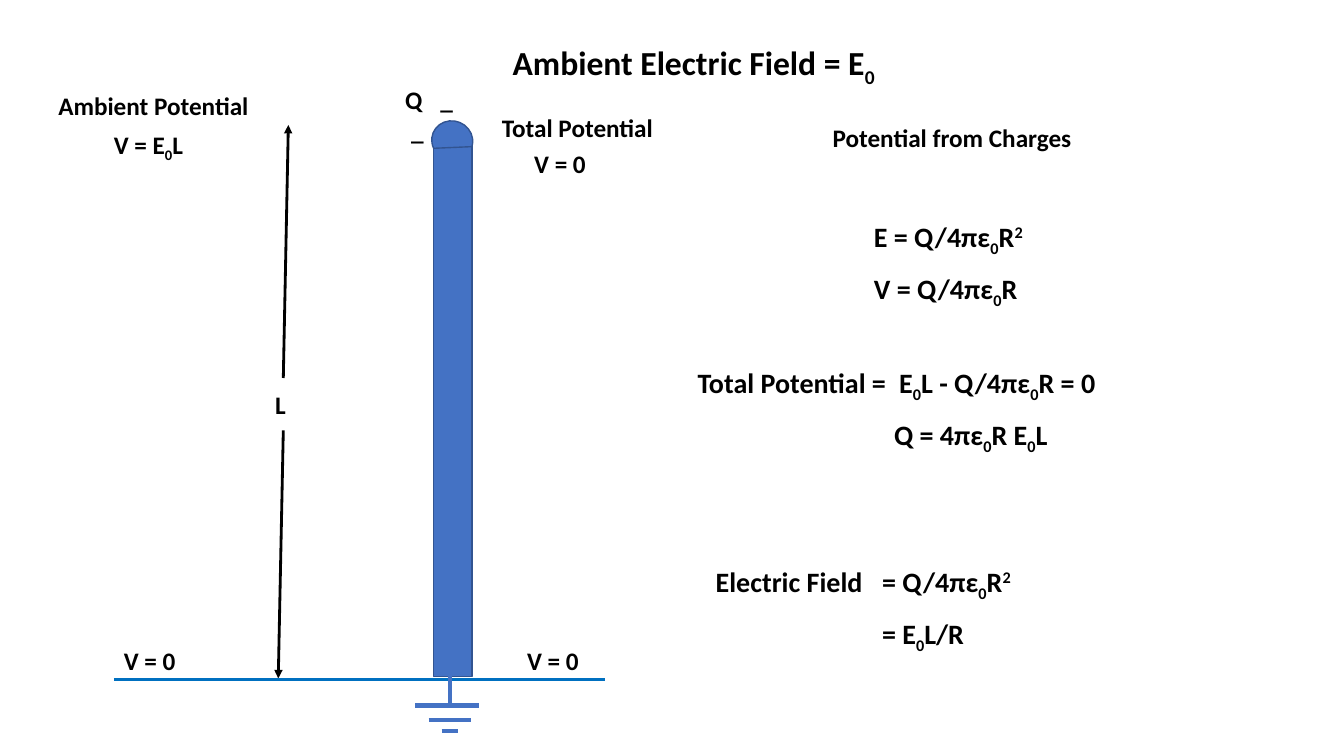
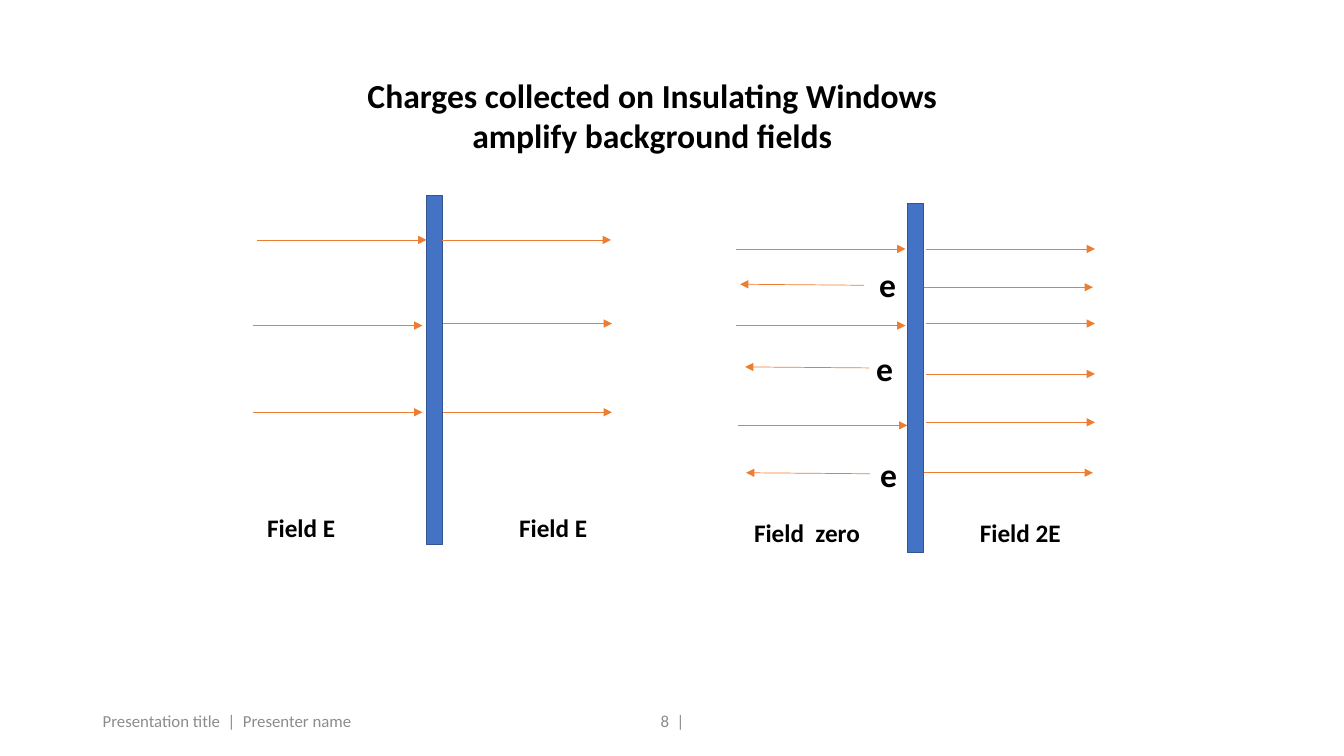
from dataclasses import dataclass
from itertools import groupby

import pptx
import pptx.dml.color
import pptx.enum.shapes
import pptx.enum.text
import pptx.util
from lxml import etree
from pptx.oxml.ns import qn

Inches = pptx.util.Inches
Shape = pptx.enum.shapes.MSO_SHAPE
Align = pptx.enum.text.PP_ALIGN
Anchor = pptx.enum.text.MSO_ANCHOR


@dataclass(frozen=True)
class Theme:
    font: str = "Calibri"
    ink: str = "000000"
    muted: str = "8C8C8C"
    blue: str = "4472C4"
    blue_edge: str = "325491"
    ground: str = "0070C0"
    orange: str = "ED7D31"
    title: int = 24
    equation: int = 20
    label: int = 18
    footer: int = 12


THEME = Theme()
SCRIPTS = {"₀": ("0", -25000), "²": ("2", 30000)}


@dataclass(frozen=True)
class Label:
    lines: tuple[str, ...]
    left: float
    top: float
    width: float
    height: float = 0.4
    size: int = THEME.label
    color: str = THEME.ink
    bold: bool = True
    align: Align = Align.LEFT
    anchor: Anchor = Anchor.TOP
    tabs: tuple[float, ...] = ()
    spacing: float = 1.0
    after: float = 0


@dataclass(frozen=True)
class Stroke:
    x1: float
    y1: float
    x2: float
    y2: float
    color: str
    width: float
    arrow: bool = False


def rgb(value: str) -> pptx.dml.color.RGBColor:
    return pptx.dml.color.RGBColor.from_string(value)


def write_line(paragraph, text: str, label: Label, tab: float | None) -> None:
    if tab is not None:
        tab_list = etree.SubElement(paragraph._p.get_or_add_pPr(), qn("a:tabLst"))
        etree.SubElement(tab_list, qn("a:tab"), pos=str(Inches(tab)), algn="l")
    paragraph.alignment = label.align
    paragraph.line_spacing = label.spacing
    paragraph.space_after = pptx.util.Pt(label.after)
    font = paragraph.font
    font.name = THEME.font
    font.size = pptx.util.Pt(label.size)
    font.bold = label.bold
    font.color.rgb = rgb(label.color)
    for script, letters in groupby(text, lambda letter: letter if letter in SCRIPTS else None):
        run = paragraph.add_run()
        if script is None:
            run.text = "".join(letters)
        else:
            run.text, baseline = SCRIPTS[script]
            run._r.get_or_add_rPr().set("baseline", str(baseline))


def fill_text(shape, label: Label) -> None:
    frame = shape.text_frame
    frame.word_wrap = True
    frame.auto_size = pptx.enum.text.MSO_AUTO_SIZE.NONE
    frame.vertical_anchor = label.anchor
    for index, text in enumerate(label.lines):
        paragraph = frame.add_paragraph() if index else frame.paragraphs[0]
        write_line(paragraph, text, label, label.tabs[index] if label.tabs else None)


def draw_label(slide, label: Label) -> None:
    box = slide.shapes.add_textbox(
        Inches(label.left), Inches(label.top), Inches(label.width), Inches(label.height)
    )
    fill_text(box, label)


def draw_title(slide, label: Label) -> None:
    title = slide.shapes.title
    title.left, title.top = Inches(label.left), Inches(label.top)
    title.width, title.height = Inches(label.width), Inches(label.height)
    fill_text(title, label)


def draw_solid(slide, kind: Shape, left: float, top: float, width: float, height: float):
    solid = slide.shapes.add_shape(
        kind, Inches(left), Inches(top), Inches(width), Inches(height)
    )
    solid.shadow.inherit = False
    solid.fill.solid()
    solid.fill.fore_color.rgb = rgb(THEME.blue)
    solid.line.color.rgb = rgb(THEME.blue_edge)
    solid.line.width = pptx.util.Pt(1)
    return solid


def draw_stroke(slide, stroke: Stroke) -> None:
    line = slide.shapes.add_connector(
        pptx.enum.shapes.MSO_CONNECTOR.STRAIGHT,
        Inches(stroke.x1), Inches(stroke.y1), Inches(stroke.x2), Inches(stroke.y2),
    )
    line.line.color.rgb = rgb(stroke.color)
    line.line.width = pptx.util.Pt(stroke.width)
    if stroke.arrow:
        etree.SubElement(line.line._get_or_add_ln(), qn("a:tailEnd"), type="triangle")
    etree.SubElement(line._element.spPr, qn("a:effectLst"))


def equations(lines: tuple[str, ...], left: float, top: float, width: float,
              tabs: tuple[float, ...] = ()) -> Label:
    return Label(lines, left, top, width, 1.05, THEME.equation,
                 tabs=tabs, spacing=1.07, after=8)


def build_rod_slide(slide) -> None:
    draw_title(slide, Label(("Ambient Electric Field = E₀",), 4.88, 0.37, 4, 0.51,
                            THEME.title, align=Align.CENTER))
    draw_solid(slide, Shape.RECTANGLE, 4.3, 1.44, 0.38, 5.27)
    dome = draw_solid(slide, Shape.CHORD, 4.29, 1.19, 0.39, 0.41)
    dome.rotation = 112.5
    dome.adjustments[0], dome.adjustments[1] = 27, 158.69

    strokes = [
        Stroke(2.81, 3.75, 2.86, 1.24, THEME.ink, 2, True),
        Stroke(2.81, 4.27, 2.76, 6.73, THEME.ink, 2, True),
        Stroke(1.13, 6.74, 6, 6.74, THEME.ground, 2),
        Stroke(4.46, 6.97, 4.46, 6.71, THEME.blue, 3),
    ]
    for left, right, y in ((4.12, 4.75, 7), (4.25, 4.67, 7.14), (4.38, 4.54, 7.25)):
        strokes.append(Stroke(left, y, right, y, THEME.blue, 3))
    for stroke in strokes:
        draw_stroke(slide, stroke)

    for left, top in ((1.13, 6.35), (5.2, 1.42), (5.13, 6.35)):
        draw_label(slide, Label(("V = 0",), left, top, 0.8))
    for label in (
        Label(("L",), 2.63, 3.81, 0.35),
        Label(("V = E₀L",), 1.03, 1.23, 0.98),
        Label(("Ambient Potential",), 0.48, 0.85, 2.2),
        Label(("Total Potential",), 4.88, 1.07, 1.8),
        Label(("Q\t_", "\t_"), 3.92, 0.79, 0.75, 0.71, tabs=(0.35, 0.06)),
        Label(("Potential from Charges",), 8.16, 1.16, 2.7),
        equations(("E = Q/4πε₀R²", "V = Q/4πε₀R"), 8.57, 2.1, 1.9),
        equations(("Total Potential =\tE₀L - Q/4πε₀R = 0", "\tQ = 4πε₀R E₀L"),
                  6.82, 3.55, 4.4, (2, 1.95)),
        equations(("Electric Field\t= Q/4πε₀R²", "\t= E₀L/R"), 7, 5.52, 3.4, (1.65, 1.65)),
    ):
        draw_label(slide, label)


def build_window_slide(slide) -> None:
    draw_title(slide, Label(
        ("Charges collected on Insulating Windows", "amplify background fields"),
        3.47, 0.69, 6, 0.91, THEME.title, align=Align.CENTER))
    for left, top in ((4.23, 1.94), (9, 2.02)):
        draw_solid(slide, Shape.RECTANGLE, left, top, 0.16, 3.46)

    for text, left, top, width in (
        ("Field E", 2.55, 5.03, 0.95),
        ("Field E", 5.05, 5.03, 0.95),
        ("Field  zero", 7.38, 5.08, 1.35),
        ("Field 2E", 9.62, 5.08, 1.1),
    ):
        draw_label(slide, Label((text,), left, top, width))
    for left, top in ((8.62, 2.57), (8.59, 3.4), (8.63, 4.45)):
        draw_label(slide, Label(("e",), left, top, 0.39, 0.5, THEME.title))

    field_starts = (
        (2.55, 2.38), (2.51, 3.23), (2.51, 4.09),
        (4.38, 2.38), (4.39, 3.21), (4.39, 4.09),
        (7.3, 2.47), (7.3, 3.23), (7.32, 4.22),
        (9.18, 2.47), (9.16, 2.85), (9.18, 3.21),
        (9.18, 3.71), (9.18, 4.19), (9.16, 4.69),
    )
    electron_starts = ((8.57, 2.83), (8.62, 3.65), (8.63, 4.7))
    for starts, run, rise in ((field_starts, 1.68, 0), (electron_starts, -1.23, -0.01)):
        for x, y in starts:
            draw_stroke(slide, Stroke(x, y, x + run, y + rise, THEME.orange, 0.5, True))

    for text, left, width, align in (
        ("Presentation title  |  Presenter name", 0.92, 3, Align.LEFT),
        ("8  |", 4.42, 4.5, Align.CENTER),
    ):
        draw_label(slide, Label((text,), left, 6.95, width, 0.4, THEME.footer,
                                THEME.muted, False, align, Anchor.MIDDLE))


def main() -> None:
    deck = pptx.Presentation()
    deck.slide_width, deck.slide_height = Inches(13.33), Inches(7.5)
    title_only = deck.slide_layouts[5]
    for build in (build_rod_slide, build_window_slide):
        build(deck.slides.add_slide(title_only))
    deck.save("out.pptx")


if __name__ == "__main__":
    main()
